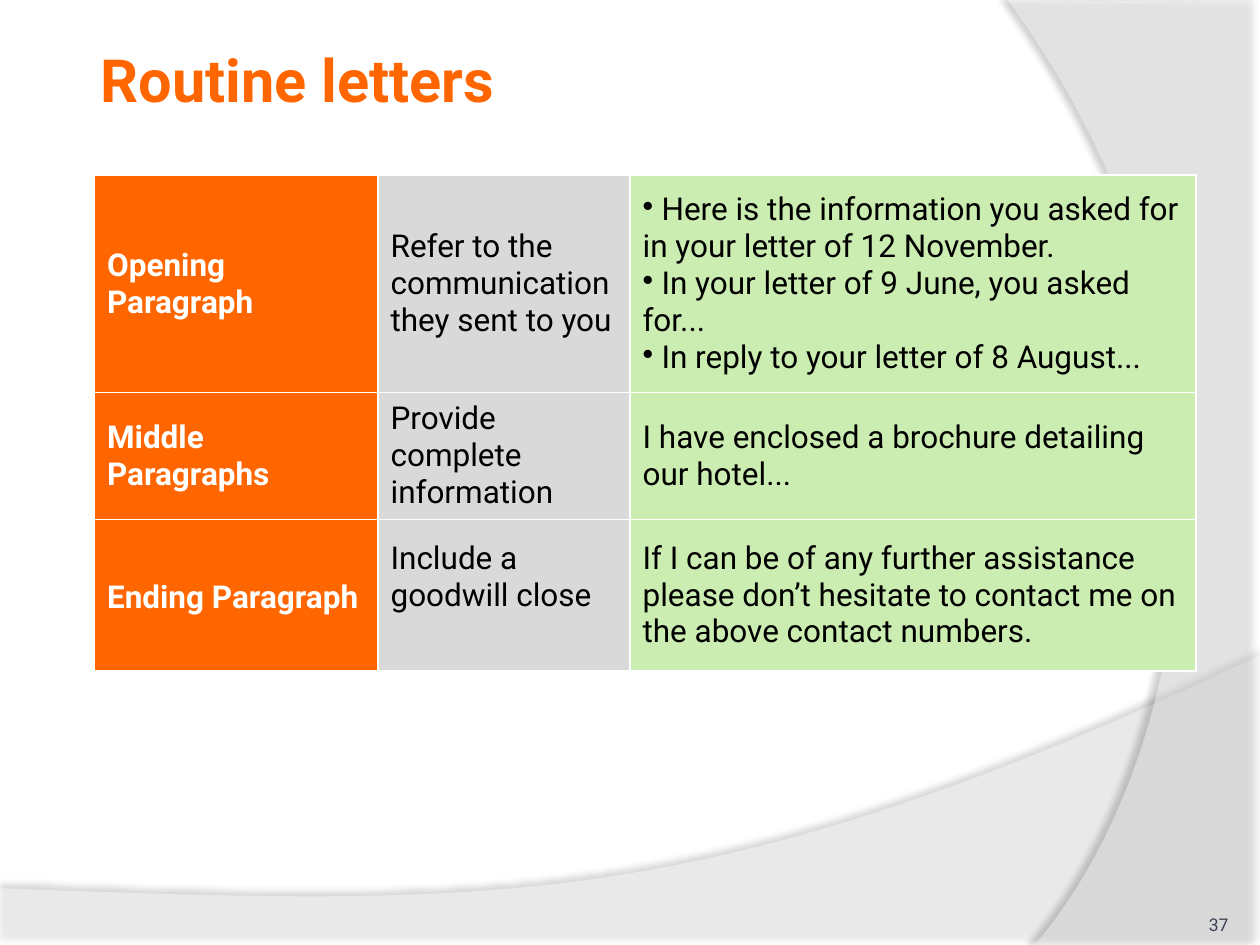
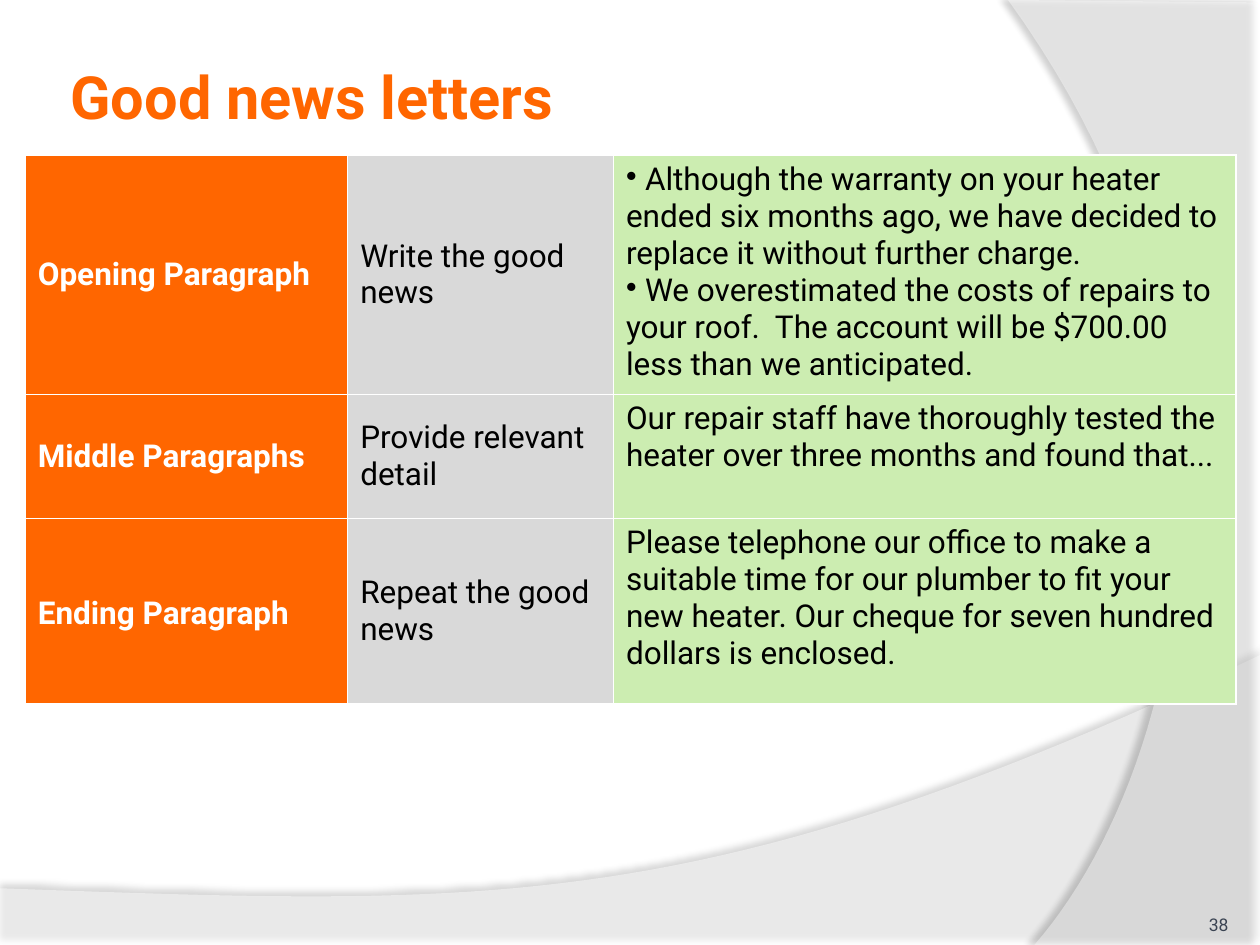
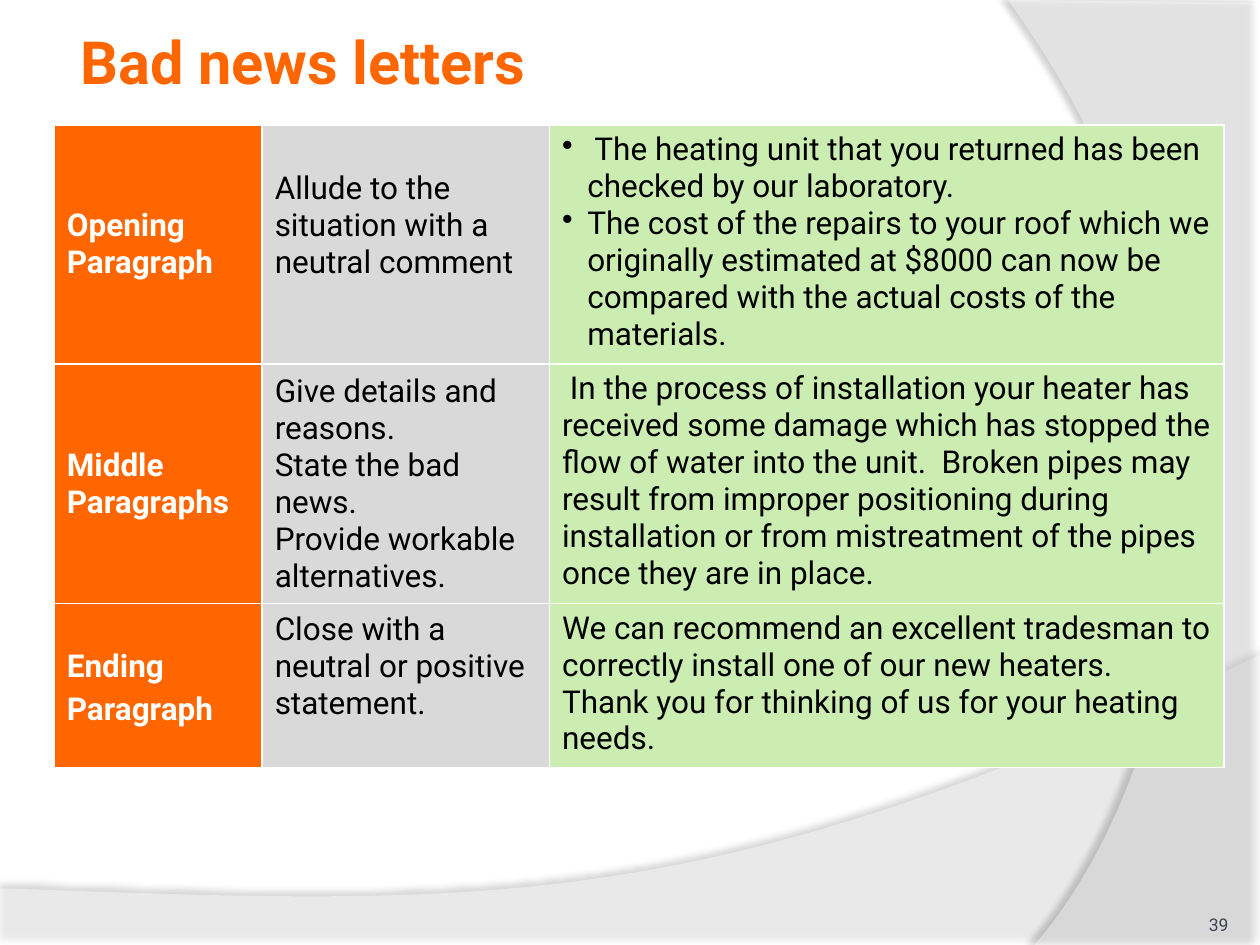
from dataclasses import dataclass

from lxml.etree import SubElement
from pptx import Presentation
from pptx.dml.color import RGBColor
from pptx.enum.text import MSO_ANCHOR, PP_ALIGN
from pptx.oxml.ns import qn
from pptx.util import Pt

FONT = "Roboto"
ORANGE, GREY, GREEN = "FF6600", "D9D9D9", "CCEDB1"
WHITE, BLACK, SLATE = "FFFFFF", "000000", "3A4352"
FILLS = (ORANGE, GREY, GREEN)
WIDE, HIGH = 720, 540
STEPS = 48
FIRST = 37

Point = tuple[float, float]


@dataclass(frozen=True)
class Sweep:
    """A translucent backdrop panel with one curved edge and a shadow."""
    edge: tuple[Point, ...]
    curve: tuple[Point, Point, Point, Point]
    alpha: int
    shade: int
    dist: float
    angle: int


@dataclass(frozen=True)
class Cell:
    """The lines of one table cell and how they are set."""
    lines: tuple[str, ...]
    bullet: bool = False
    left: float = 0
    first: float = 0
    lift: float = 0


@dataclass(frozen=True)
class Letter:
    """One slide about a kind of letter."""
    title: str
    place: tuple[float, float, float, float]
    spot: Point
    cols: tuple[float, ...]
    rows: tuple[float, ...]
    advice: tuple[Cell, ...]
    samples: tuple[Cell, ...]
    anchor: MSO_ANCHOR = MSO_ANCHOR.TOP


LABELS = ("Opening Paragraph", "Middle Paragraphs", "Ending Paragraph")

SWEEPS = (
    Sweep(((0, HIGH), (WIDE, HIGH)),
          ((WIDE, 374.4), (402.5, 524.9), (281.5, 517.7), (0, 507.6)),
          45, 35, 3.5, 270),
    Sweep(((WIDE, 1.4), (WIDE, HIGH)),
          ((591.1, HIGH), (673.2, 445.7), (733, 216), (576, 0)),
          40, 45, 4, 180),
)

LETTERS = (
    Letter(
        "Routine letters", (54, 0, 357, 90), (54, 100.1),
        (162, 144, 323.3), (124.3, 72.6, 86.4),
        (Cell(("Refer to the communication they sent to you",)),
         Cell(("Provide complete information",)),
         Cell(("Include a goodwill close",), lift=21)),
        (Cell((" Here is the information you asked for in your letter of 12 November.",
               " In your letter of 9 June, you asked for...",
               " In reply to your letter of 8 August..."), bullet=True),
         Cell(("I have enclosed a brochure detailing our hotel...",)),
         Cell(("If I can be of any further assistance please don’t hesitate to "
               "contact me on the above contact numbers.",))),
        MSO_ANCHOR.MIDDLE),
    Letter(
        "Good news letters", (36.7, 9.4, 588, 90), (14.4, 88.6),
        (184.3, 151.9, 355.7), (134.3, 70.8, 106.2),
        (Cell(("Write the good news",)),
         Cell(("Provide relevant detail",)),
         Cell(("Repeat the good news",))),
        (Cell((" Although the warranty on your heater ended six months ago, we "
               "have decided to replace it without further charge.",
               " We overestimated the costs of repairs to your roof.  The account "
               "will be $700.00 less than we anticipated."),
              bullet=True, first=-8.6),
         Cell(("Our repair staff have thoroughly tested the heater over three "
               "months and found that...",)),
         Cell(("Please telephone our office to make a suitable time for our "
               "plumber to fit your new heater. Our cheque for seven hundred "
               "dollars is enclosed.",)))),
    Letter(
        "Bad news letters", (42.5, 0, 588, 69), (31, 71.3),
        (118.8, 164.2, 385.5), (133.9, 133.9, 91.4),
        (Cell(("Allude to the situation with a neutral comment",), lift=21),
         Cell(("Give details and reasons.", "State the bad news.",
               "Provide workable alternatives.")),
         Cell(("Close with a neutral or positive statement.",), lift=21)),
        (Cell((" The heating unit that you returned has been checked by our "
               "laboratory.",
               "The cost of the repairs to your roof which we originally estimated "
               "at $8000 can now be compared with the actual costs of the "
               "materials."),
              bullet=True, left=14.4, first=-14.4),
         Cell((" In the process of installation your heater has received some "
               "damage which has stopped the flow of water into the unit.  Broken "
               "pipes may result from improper positioning during installation or "
               "from mistreatment of the pipes once they are in place.",)),
         Cell(("We can recommend an excellent tradesman to correctly install one "
               "of our new heaters.",
               "Thank you for thinking of us for your heating needs.")))),
)


def paint(fill, code: str) -> None:
    """Give a fill a solid colour from a hex string."""
    fill.solid()
    fill.fore_color.rgb = RGBColor.from_string(code)


def write(frame, lines, *, size=18, color=BLACK, bold=False, align=PP_ALIGN.LEFT,
          bullet=False, left=0, first=0, space=None, after=None) -> None:
    """Fill a text frame with one formatted paragraph per line."""
    frame.word_wrap = True
    for i, line in enumerate(lines):
        para = frame.add_paragraph() if i else frame.paragraphs[0]
        para.alignment = align
        if bullet:
            props = para._p.get_or_add_pPr()
            props.set("marL", str(Pt(left)))
            props.set("indent", str(Pt(first)))
            SubElement(props, qn("a:buChar"), char="•")
        if space:
            para.line_spacing = space
        if after:
            para.space_after = Pt(after)
        run = para.add_run()
        run.text = line
        font = run.font
        font.name, font.size, font.bold = FONT, Pt(size), bold
        font.color.rgb = RGBColor.from_string(color)


def label(slide, place, text: str, *, inset: float, anchor, **style) -> None:
    """Add a text box with even insets."""
    frame = slide.shapes.add_textbox(*map(Pt, place)).text_frame
    frame.margin_left = frame.margin_right = Pt(inset)
    frame.margin_top = frame.margin_bottom = Pt(inset)
    frame.vertical_anchor = anchor
    write(frame, (text,), **style)


def bend(curve) -> list[Point]:
    """Sample a cubic curve from its four control points."""
    spots = []
    for i in range(STEPS + 1):
        t = i / STEPS
        u = 1 - t
        parts = (u ** 3, 3 * u * u * t, 3 * u * t * t, t ** 3)
        spots.append(tuple(sum(w * p[k] for w, p in zip(parts, curve))
                           for k in (0, 1)))
    return spots


def sweep(slide, item: Sweep) -> None:
    """Draw one backdrop panel."""
    spots = [(Pt(x), Pt(y)) for x, y in (*item.edge, *bend(item.curve))]
    pen = slide.shapes.build_freeform(*spots[0])
    pen.add_line_segments(spots[1:], close=True)
    shape = pen.convert_to_shape()
    paint(shape.fill, WHITE)
    shape.line.fill.background()
    shape.shadow.inherit = False
    props = shape.element.spPr
    tint = props.find(qn("a:solidFill")).find(qn("a:srgbClr"))
    SubElement(tint, qn("a:alpha"), val=str(item.alpha * 1000))
    glow = SubElement(props.find(qn("a:effectLst")), qn("a:outerShdw"),
                      blurRad=str(Pt(4)), dist=str(Pt(item.dist)),
                      dir=str(item.angle * 60000), rotWithShape="0")
    dark = SubElement(glow, qn("a:srgbClr"), val=BLACK)
    SubElement(dark, qn("a:alpha"), val=str(item.shade * 1000))


def frame(cell) -> None:
    """Give a cell a thin white border on each side."""
    props = cell._tc.get_or_add_tcPr()
    for i, side in enumerate(("lnL", "lnR", "lnT", "lnB")):
        line = props.makeelement(qn(f"a:{side}"), {"w": str(Pt(1))})
        fill = SubElement(line, qn("a:solidFill"))
        SubElement(fill, qn("a:srgbClr"), val=WHITE)
        props.insert(i, line)


def grid(slide, item: Letter) -> None:
    """Draw the table of labels, advice and samples."""
    size = (sum(item.cols), sum(item.rows))
    table = slide.shapes.add_table(len(item.rows), len(item.cols),
                                   *map(Pt, item.spot + size)).table
    table.first_row = table.horz_banding = False
    for col, width in zip(table.columns, item.cols):
        col.width = Pt(width)
    for row, height in zip(table.rows, item.rows):
        row.height = Pt(height)
    heads = [Cell((text,)) for text in LABELS]
    for r, texts in enumerate(zip(heads, item.advice, item.samples)):
        for c, (text, fill) in enumerate(zip(texts, FILLS)):
            cell = table.cell(r, c)
            paint(cell.fill, fill)
            frame(cell)
            cell.vertical_anchor = item.anchor if c == 2 else MSO_ANCHOR.MIDDLE
            cell.margin_bottom = Pt(3.6 + text.lift)
            last = c == 0 and r == len(LABELS) - 1
            write(cell.text_frame, text.lines, bold=c == 0,
                  color=BLACK if c else WHITE, bullet=text.bullet,
                  left=text.left, first=text.first,
                  space=1.15 if last else None, after=10 if last else None)


def build(deck, item: Letter, page: int) -> None:
    """Add one whole slide."""
    slide = deck.slides.add_slide(deck.slide_layouts[6])
    paint(slide.background.fill, WHITE)
    for panel in SWEEPS:
        sweep(slide, panel)
    label(slide, item.place, item.title, inset=3.6, anchor=MSO_ANCHOR.MIDDLE,
          size=34, color=ORANGE, bold=True)
    label(slide, (642.2, 505.4, 59.8, 28.8), str(page), inset=0,
          anchor=MSO_ANCHOR.BOTTOM, size=10, color=SLATE, align=PP_ALIGN.RIGHT)
    grid(slide, item)


def main() -> None:
    """Build and save the deck."""
    deck = Presentation()
    deck.slide_width, deck.slide_height = Pt(WIDE), Pt(HIGH)
    for page, item in enumerate(LETTERS, FIRST):
        build(deck, item, page)
    deck.save("out.pptx")


if __name__ == "__main__":
    main()
